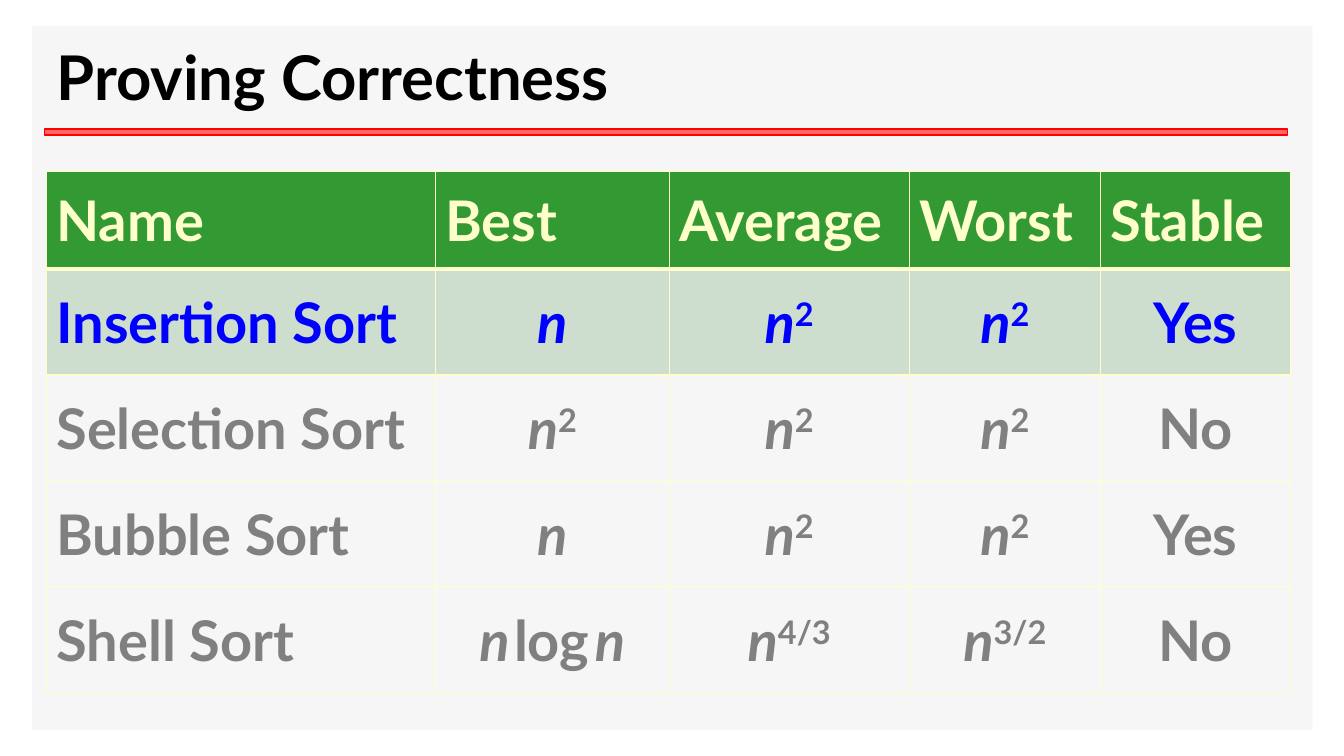
from dataclasses import dataclass
from typing import Optional

import lxml.etree
import pptx
import pptx.dml.color
import pptx.enum.shapes
import pptx.enum.text
import pptx.oxml.ns
import pptx.util


@dataclass(frozen=True)
class Theme:
    font: str = "Lato"
    title_size: int = 44
    table_size: int = 40
    title: str = "000000"
    panel: str = "EAEAEA"
    panel_opacity: int = 39
    rule_fill: str = "FF6666"
    rule_line: str = "FF0000"
    header_fill: str = "339933"
    cream: str = "FFFFCC"
    current_fill: str = "CEDECE"
    current_text: str = "0000FF"
    muted_text: str = "808080"


@dataclass(frozen=True)
class Area:
    """Position and size in percent of the slide."""

    left: float
    top: float
    width: float
    height: float


@dataclass(frozen=True)
class Piece:
    text: str
    italic: bool = False
    raised: bool = False
    size: Optional[int] = None


@dataclass(frozen=True)
class RowStyle:
    text: str
    fill: Optional[str] = None
    centred: bool = True
    bottom_width: int = 1


Pieces = tuple[Piece, ...]

THEME = Theme()
SLIDE_WIDTH = pptx.util.Inches(13.33)
SLIDE_HEIGHT = pptx.util.Inches(7.5)
PANEL = Area(2.4, 3.47, 95.25, 93.07)
RULE = Area(3.3, 17.07, 92.48, 0.8)
TITLE = Area(3.45, 4, 91.2, 12.13)
TABLE = Area(3.45, 22.67, 92.5, 68.93)
COLUMN_SHARES = (28.95, 17.4, 17.85, 14.25, 14.1)
HEADER_SHARE = 12.93
BODY_SHARE = 14

HEADER = RowStyle(THEME.cream, THEME.header_fill, centred=False, bottom_width=3)
CURRENT = RowStyle(THEME.current_text, THEME.current_fill)
MUTED = RowStyle(THEME.muted_text)


def plain(text: str) -> Pieces:
    return (Piece(text),)


def power(exponent: str) -> Pieces:
    return N + (Piece(exponent, raised=True),)


N = (Piece("n", italic=True),)
SQUARE = power("2")
N_LOG_N = N + (Piece(" ", True, size=14), Piece("log"), Piece(" ", True, size=18)) + N

ROWS = (
    (HEADER, tuple(map(plain, ("Name", "Best", "Average", "Worst", "Stable")))),
    (CURRENT, (plain("Insertion Sort"), N, SQUARE, SQUARE, plain("Yes"))),
    (MUTED, (plain("Selection Sort"), SQUARE, SQUARE, SQUARE, plain("No"))),
    (MUTED, (plain("Bubble Sort"), N, SQUARE, SQUARE, plain("Yes"))),
    (MUTED, (plain("Shell Sort"), N_LOG_N, power("4/3"), power("3/2"), plain("No"))),
)


def across(percent: float) -> int:
    return round(SLIDE_WIDTH * percent / 100)


def down(percent: float) -> int:
    return round(SLIDE_HEIGHT * percent / 100)


def place(area: Area) -> tuple[int, int, int, int]:
    return across(area.left), down(area.top), across(area.width), down(area.height)


def rgb(colour: str) -> pptx.dml.color.RGBColor:
    return pptx.dml.color.RGBColor.from_string(colour)


def child(parent, tag: str, **attributes: str):
    return lxml.etree.SubElement(parent, pptx.oxml.ns.qn(tag), attributes)


def set_font(font, size: int, colour: str) -> None:
    font.name = THEME.font
    font.size = pptx.util.Pt(size)
    font.bold = True
    font.color.rgb = rgb(colour)


def add_rectangle(slide, area: Area, fill: str):
    kind = pptx.enum.shapes.MSO_SHAPE.RECTANGLE
    shape = slide.shapes.add_shape(kind, *place(area))
    shape.shadow.inherit = False
    shape.fill.solid()
    shape.fill.fore_color.rgb = rgb(fill)
    shape.line.fill.background()
    return shape


def add_backdrop(slide) -> None:
    panel = add_rectangle(slide, PANEL, THEME.panel)
    colour = panel.element.spPr.find(".//" + pptx.oxml.ns.qn("a:srgbClr"))
    child(colour, "a:alpha", val=str(THEME.panel_opacity * 1000))
    rule = add_rectangle(slide, RULE, THEME.rule_fill)
    rule.line.color.rgb = rgb(THEME.rule_line)
    rule.line.width = pptx.util.Pt(1)


def add_title(slide, text: str) -> None:
    title = slide.shapes.title
    title.element.getparent().append(title.element)
    title.left, title.top, title.width, title.height = place(TITLE)
    frame = title.text_frame
    frame.text = text
    frame.word_wrap = True
    frame.vertical_anchor = pptx.enum.text.MSO_ANCHOR.MIDDLE
    paragraph = frame.paragraphs[0]
    paragraph.alignment = pptx.enum.text.PP_ALIGN.LEFT
    set_font(paragraph.font, THEME.title_size, THEME.title)


def fill_cell(cell, pieces: Pieces, style: RowStyle, centred: bool) -> None:
    cell.vertical_anchor = pptx.enum.text.MSO_ANCHOR.MIDDLE
    properties = cell._tc.get_or_add_tcPr()
    widths = {"L": 1, "R": 1, "T": 1, "B": style.bottom_width}
    for side, width in widths.items():
        line = child(properties, f"a:ln{side}", w=str(pptx.util.Pt(width)))
        child(child(line, "a:solidFill"), "a:srgbClr", val=THEME.cream)
    if style.fill:
        cell.fill.solid()
        cell.fill.fore_color.rgb = rgb(style.fill)
    else:
        cell.fill.background()
    paragraph = cell.text_frame.paragraphs[0]
    if centred:
        paragraph.alignment = pptx.enum.text.PP_ALIGN.CENTER
    set_font(paragraph.font, THEME.table_size, style.text)
    for piece in pieces:
        run = paragraph.add_run()
        run.text = piece.text
        if piece.italic:
            run.font.italic = True
        if piece.size:
            run.font.size = pptx.util.Pt(piece.size)
        if piece.raised:
            run.font._element.set("baseline", "30000")


def add_sort_table(slide) -> None:
    frame = slide.shapes.add_table(len(ROWS), len(COLUMN_SHARES), *place(TABLE))
    table = frame.table
    table.horz_banding = False
    for column, share in zip(table.columns, COLUMN_SHARES):
        column.width = across(share)
    for row, (style, cells) in zip(table.rows, ROWS):
        row.height = down(HEADER_SHARE if style is HEADER else BODY_SHARE)
        for index, (cell, pieces) in enumerate(zip(row.cells, cells)):
            fill_cell(cell, pieces, style, style.centred and index > 0)


def main() -> None:
    presentation = pptx.Presentation()
    presentation.slide_width = SLIDE_WIDTH
    presentation.slide_height = SLIDE_HEIGHT
    slide = presentation.slides.add_slide(presentation.slide_layouts[5])
    add_backdrop(slide)
    add_title(slide, "Proving Correctness")
    add_sort_table(slide)
    presentation.save("out.pptx")


if __name__ == "__main__":
    main()
